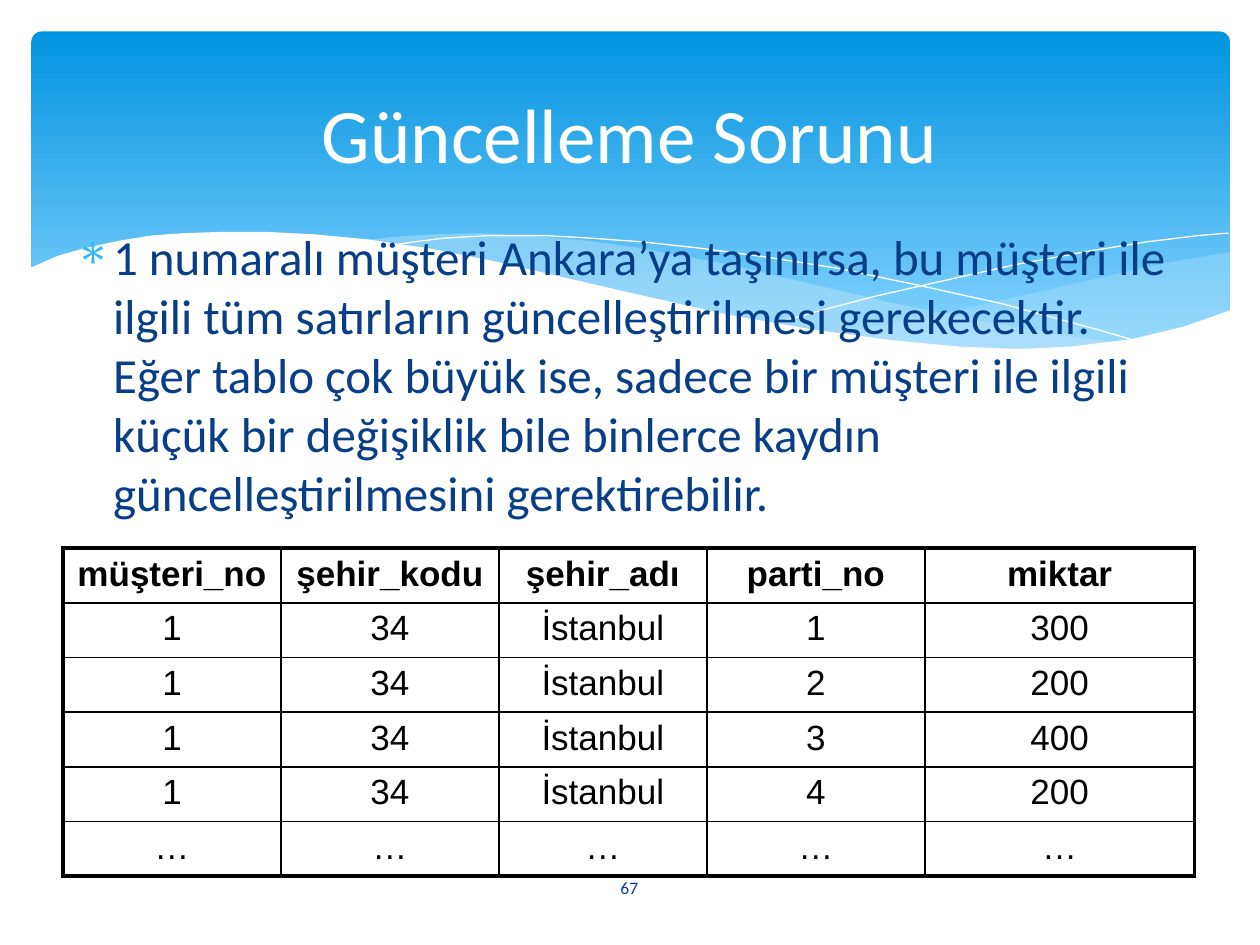
import pptx
import pptx.util
import pptx.dml.color
import pptx.enum.dml
import pptx.enum.shapes
import pptx.enum.text
import pptx.oxml
import pptx.oxml.ns
from lxml import etree

RGBColor = pptx.dml.color.RGBColor
Pt = pptx.util.Pt
ALIGN = pptx.enum.text.PP_ALIGN
ANCHOR = pptx.enum.text.MSO_ANCHOR
qn = pptx.oxml.ns.qn

PX = 9144
SKY_TOP = RGBColor(0x02, 0x93, 0xE0)
SKY_BOTTOM = RGBColor(0x83, 0xD3, 0xFE)
MIST = RGBColor(0xC6, 0xE7, 0xFC)
BULLET = RGBColor(0x31, 0xB6, 0xFD)
NAVY = RGBColor(0x07, 0x3E, 0x87)
WHITE = RGBColor(0xFF, 0xFF, 0xFF)
BLACK = RGBColor(0, 0, 0)

RIGHT_WAVE = [
    (951, 175), (910, 182), (866, 191), (807, 205), (754, 217), (704, 228), (636, 240),
    (680, 246), (732, 251), (778, 253), (829, 251), (872, 245), (910, 237), (951, 222)]
MIDDLE_WAVE = [
    (868, 248), (812, 240), (750, 229), (681, 215), (604, 197), (559, 186), (516, 178),
    (477, 171), (440, 166), (395, 162), (355, 160), (319, 161), (288, 163), (261, 166),
    (298, 171), (337, 178), (379, 186), (424, 197), (505, 215), (576, 230), (625, 239),
    (684, 247), (736, 252), (782, 253), (823, 252)]
FALLING_LINE = [
    (284, 170), (303, 167), (328, 164), (362, 162), (408, 162), (444, 164), (485, 167),
    (531, 172), (583, 179), (640, 188), (702, 201), (770, 216), (844, 236), (882, 247)]
RISING_LINE = [
    (588, 232), (628, 221), (670, 210), (723, 198), (781, 185), (841, 174), (885, 167),
    (926, 162), (950, 160)]
WHITE_WAVE = [
    (952, 221), (915, 234), (874, 244), (825, 250), (784, 252), (736, 250), (683, 245),
    (623, 237), (554, 225), (478, 208), (422, 195), (366, 182), (315, 172), (267, 165),
    (225, 161), (186, 159), (152, 159), (121, 160), (94, 162), (70, 166), (42, 172),
    (21, 178), (-2, 188), (-2, 304), (952, 304)]

TITLE = "Güncelleme Sorunu"
BODY = (
    "1 numaralı müşteri Ankara’ya taşınırsa, bu müşteri ile ilgili tüm satırların "
    "güncelleştirilmesi gerekecektir. Eğer tablo çok büyük ise, sadece bir müşteri ile "
    "ilgili küçük bir değişiklik bile binlerce kaydın güncelleştirilmesini gerektirebilir.")
HEADER = ["müşteri_no", "şehir_kodu", "şehir_adı", "parti_no", "miktar"]
SALES = [("1", 300), ("2", 200), ("3", 400), ("4", 200)]
ROWS = [HEADER] + [["1", "34", "İstanbul", lot, str(amount)] for lot, amount in SALES]
ROWS.append(["…"] * len(HEADER))
COLUMN_WIDTHS = [173, 173, 165, 173, 214]


def scaled(box):
    return [length * PX for length in box]


def add_curve(page, box, points, fill=None, alpha=None):
    closed = fill is not None
    builder = page.shapes.build_freeform(*points[0], scale=PX)
    builder.add_line_segments(points[1:], close=closed)
    curve = builder.convert_to_shape(box[0] * PX, box[1] * PX)
    curve.shadow.inherit = False
    if not closed:
        curve.fill.background()
        curve.line.color.rgb = WHITE
        curve.line.width = 0
        return
    curve.fill.solid()
    curve.fill.fore_color.rgb = fill
    curve.line.fill.background()
    if alpha is not None:
        color = curve.fill._xPr.find(qn("a:solidFill"))[0]
        etree.SubElement(color, qn("a:alpha")).set("val", str(alpha * 1000))


def add_banner(page, box):
    panel = page.shapes.add_shape(
        pptx.enum.shapes.MSO_SHAPE.ROUNDED_RECTANGLE, *scaled(box))
    panel.adjustments[0] = 0.03
    panel.shadow.inherit = False
    panel.line.fill.background()
    panel.fill.gradient()
    panel.fill.gradient_angle = 270
    stops = panel.fill.gradient_stops
    for stop, position, color in zip(stops, (0, 0.9), (SKY_TOP, SKY_BOTTOM)):
        stop.position = position
        stop.color.rgb = color
    add_curve(page, box, RIGHT_WAVE, MIST, 29)
    add_curve(page, box, MIDDLE_WAVE, MIST, 40)
    add_curve(page, box, FALLING_LINE)
    add_curve(page, box, RISING_LINE)
    add_curve(page, box, WHITE_WAVE, WHITE)


def set_font(para, name, size, color, bold=False):
    para.font.name = name
    para.font.size = Pt(size)
    para.font.color.rgb = color
    para.font.bold = bold


def add_text(page, box, text, size, color, align=ALIGN.CENTER, anchor=ANCHOR.MIDDLE):
    frame = page.shapes.add_textbox(*scaled(box)).text_frame
    frame.word_wrap = True
    frame.vertical_anchor = anchor
    para = frame.paragraphs[0]
    para.text = text
    para.alignment = align
    set_font(para, "Calibri", size, color)
    return para


def add_body(page, box):
    para = add_text(page, box, BODY, 28, NAVY, ALIGN.LEFT, ANCHOR.TOP)
    props = para._p.get_or_add_pPr()
    props.set("marL", str(30 * PX))
    props.set("indent", str(-30 * PX))
    color = etree.Element(qn("a:buClr"))
    etree.SubElement(color, qn("a:srgbClr")).set("val", str(BULLET))
    font = etree.Element(qn("a:buFont"))
    font.set("typeface", "Symbol")
    mark = etree.Element(qn("a:buChar"))
    mark.set("char", "∗")
    for index, element in enumerate((color, font, mark)):
        props.insert(index, element)


def add_border(cell, side, width):
    props = cell._tc.get_or_add_tcPr()
    line = etree.SubElement(props, qn(f"a:ln{side}"))
    line.set("w", str(Pt(width)))
    fill = etree.SubElement(line, qn("a:solidFill"))
    etree.SubElement(fill, qn("a:srgbClr")).set("val", str(BLACK))


def add_sales_table(page, box):
    table = page.shapes.add_table(len(ROWS), len(HEADER), *scaled(box)).table
    last_row, last_column = len(ROWS) - 1, len(HEADER) - 1
    for column, width in zip(table.columns, COLUMN_WIDTHS):
        column.width = width * PX
    for r, texts in enumerate(ROWS):
        for c, text in enumerate(texts):
            cell = table.cell(r, c)
            outer = {"L": c == 0, "R": c == last_column, "T": r == 0, "B": r == last_row}
            for side, thick in outer.items():
                add_border(cell, side, 2.25 if thick else 1)
            cell.fill.background()
            para = cell.text_frame.paragraphs[0]
            para.text = text
            para.alignment = ALIGN.CENTER
            set_font(para, "Arial", 20, BLACK, bold=r == 0)


def main():
    deck = pptx.Presentation()
    deck.slide_width, deck.slide_height = scaled((1000, 750))
    page = deck.slides.add_slide(deck.slide_layouts[6])
    add_banner(page, (25, 25, 951, 270))
    add_text(page, (436, 684, 127, 40), "67", 10, NAVY)
    add_body(page, (50, 175, 900, 255))
    add_text(page, (50, 37, 900, 137), TITLE, 44, WHITE)
    add_sales_table(page, (50, 435, 898, 260))
    deck.save("out.pptx")


if __name__ == "__main__":
    main()
